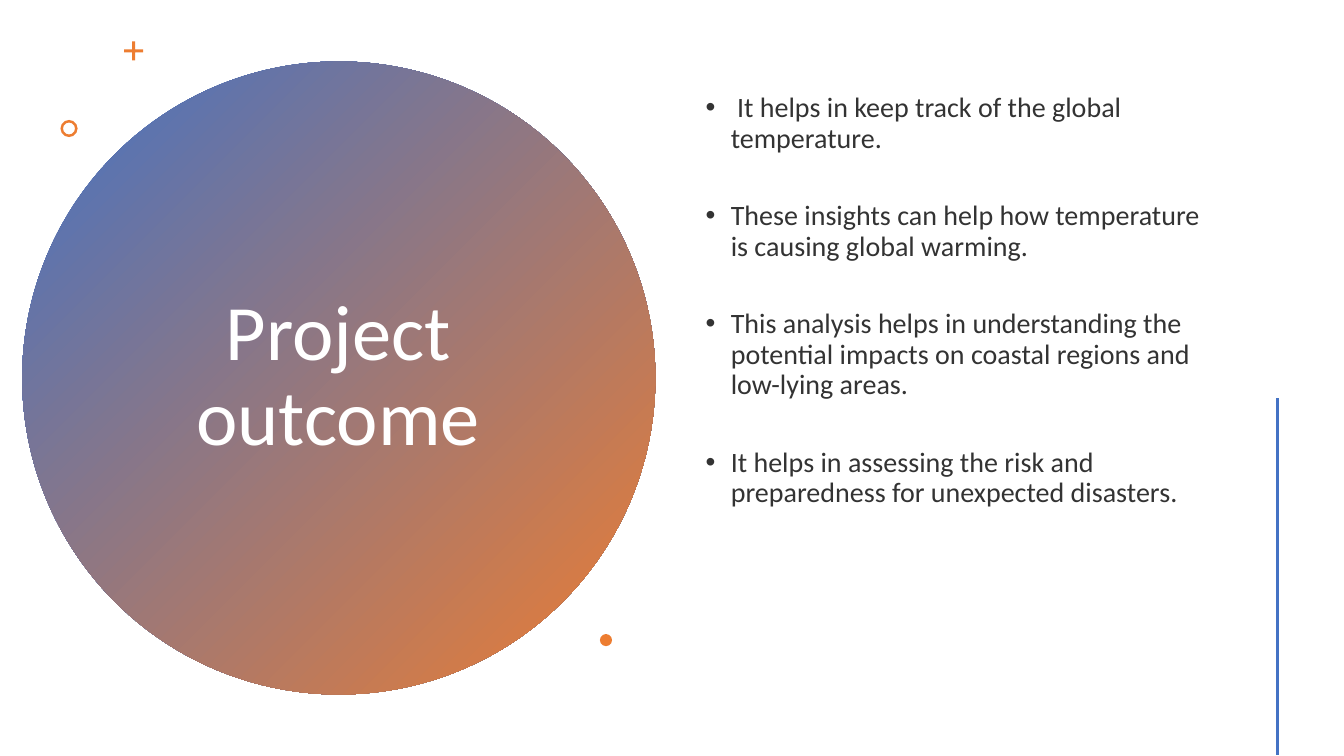
from dataclasses import dataclass

from lxml.etree import SubElement
from pptx import Presentation
from pptx.dml.color import RGBColor
from pptx.enum.shapes import MSO_CONNECTOR, MSO_SHAPE as Preset
from pptx.enum.text import MSO_ANCHOR as Anchor, PP_ALIGN as Align
from pptx.oxml.ns import qn
from pptx.shapes.autoshape import Shape
from pptx.slide import Slide
from pptx.text.text import TextFrame
from pptx.util import Inches, Pt

BLUE = RGBColor(0x44, 0x72, 0xC4)
ORANGE = RGBColor(0xED, 0x7D, 0x31)
WHITE = RGBColor(0xFF, 0xFF, 0xFF)
CHARCOAL = RGBColor(0x33, 0x33, 0x33)
FONT = "Calibri"


@dataclass(frozen=True)
class Accent:
    preset: Preset
    left: float
    top: float
    size: float
    adjustment: float | None = None


ACCENTS = [
    Accent(Preset.CROSS, 1.23, 0.41, 0.19, 0.42),
    Accent(Preset.DONUT, 0.6, 1.19, 0.17, 0.15),
    Accent(Preset.OVAL, 5.95, 6.29, 0.12),
]

OUTCOMES = [
    " It helps in keep track of the global temperature.",
    "These insights can help how temperature is causing global warming.",
    "This analysis helps in understanding the potential impacts on coastal regions and low-lying areas.",
    "It helps in assessing the risk and preparedness for unexpected disasters.",
]


def add_accent(slide: Slide, accent: Accent) -> Shape:
    size = Inches(accent.size)
    shape = slide.shapes.add_shape(
        accent.preset, Inches(accent.left), Inches(accent.top), size, size
    )
    shape.shadow.inherit = False
    shape.line.fill.background()
    shape.fill.solid()
    shape.fill.fore_color.rgb = ORANGE
    if accent.adjustment is not None:
        shape.adjustments[0] = accent.adjustment
    return shape


def add_gradient_circle(slide: Slide) -> None:
    circle = add_accent(slide, Accent(Preset.OVAL, 0.22, 0.61, 6.28))
    circle.fill.gradient()
    circle.fill.gradient_angle = 315
    for stop, position, color in zip(circle.fill.gradient_stops, (0, 1), (BLUE, ORANGE)):
        stop.position = position
        stop.color.rgb = color


def write_text(
    frame: TextFrame,
    paragraphs: list[str],
    *,
    size: float,
    color: RGBColor,
    align: Align = Align.LEFT,
    anchor: Anchor = Anchor.TOP,
    space_after: float = 0,
    bulleted: bool = False,
) -> None:
    frame.word_wrap = True
    frame.vertical_anchor = anchor
    for index, text in enumerate(paragraphs):
        paragraph = frame.add_paragraph() if index else frame.paragraphs[0]
        paragraph.alignment = align
        paragraph.line_spacing = 0.9
        paragraph.space_before = Pt(0)
        paragraph.space_after = Pt(space_after)
        run = paragraph.add_run()
        run.text = text
        run.font.name = FONT
        run.font.size = Pt(size)
        run.font.color.rgb = color
        if bulleted:
            properties = paragraph._p.get_or_add_pPr()
            properties.set("marL", str(Inches(0.31)))
            properties.set("indent", str(Inches(-0.25)))
            SubElement(properties, qn("a:buFont"), typeface="Arial")
            SubElement(properties, qn("a:buChar"), char="•")


def add_side_line(slide: Slide) -> None:
    x = Inches(12.67)
    side_line = slide.shapes.add_connector(
        MSO_CONNECTOR.STRAIGHT, x, Inches(3.95), x, Inches(7.49)
    )
    side_line.line.color.rgb = BLUE
    side_line.line.width = Pt(2)
    SubElement(side_line._element.spPr, qn("a:effectLst"))


def main() -> None:
    deck = Presentation()
    deck.slide_width, deck.slide_height = Inches(13.33), Inches(7.5)
    slide = deck.slides.add_slide(deck.slide_layouts.get_by_name("Title Only"))

    add_gradient_circle(slide)

    title = slide.shapes.title
    title.left, title.top = Inches(1.36), Inches(1.41)
    title.width, title.height = Inches(3.99), Inches(4.67)
    write_text(
        title.text_frame, ["Project outcome"],
        size=56, color=WHITE, align=Align.CENTER, anchor=Anchor.MIDDLE,
    )
    slide.shapes._spTree.append(title._element)

    for accent in ACCENTS:
        add_accent(slide, accent)

    outcomes = slide.shapes.add_textbox(Inches(6.84), Inches(0.88), Inches(5.17), Inches(5.36))
    write_text(
        outcomes.text_frame, OUTCOMES,
        size=20, color=CHARCOAL, space_after=34, bulleted=True,
    )

    add_side_line(slide)
    deck.save("out.pptx")


if __name__ == "__main__":
    main()
